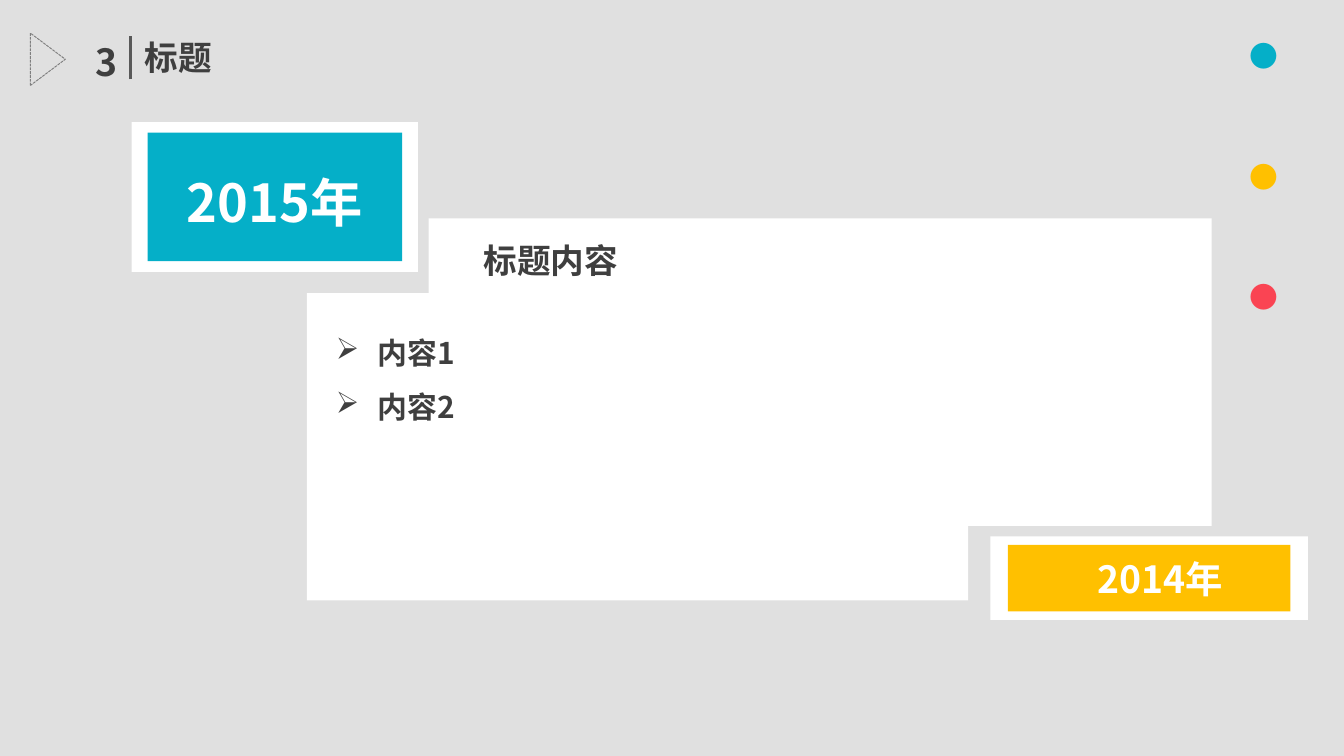
from lxml import etree
from pptx import Presentation
from pptx.dml.color import RGBColor
from pptx.enum.dml import MSO_LINE
from pptx.enum.shapes import MSO_CONNECTOR, MSO_SHAPE
from pptx.enum.text import PP_ALIGN
from pptx.oxml.ns import qn
from pptx.util import Cm, Pt

RECTANGLE = MSO_SHAPE.RECTANGLE
TRIANGLE = MSO_SHAPE.FLOWCHART_MERGE
LEFT, CENTER, RIGHT = PP_ALIGN.LEFT, PP_ALIGN.CENTER, PP_ALIGN.RIGHT
FONT = "Noto Sans CJK SC"
COLORS = {
    "black": "000000",
    "white": "FFFFFF",
    "text": "3F3F3F",
    "divider": "595959",
    "outline": "7F7F7F",
    "teal": "05AFC8",
    "yellow": "FFC000",
    "red": "FA4453",
}


def color(name):
    return RGBColor.from_string(COLORS[name])


def add_block(page, area, fill=None, kind=RECTANGLE):
    """Add a shape without line or shadow; area is left, top, width, height in cm."""
    block = page.shapes.add_shape(kind, *map(Cm, area))
    block.shadow.inherit = False
    block.line.fill.background()
    if fill:
        block.fill.solid()
        block.fill.fore_color.rgb = color(fill)
    else:
        block.fill.background()
    return block


def add_framed_block(page, area, margins, fill):
    """Add a white card with a coloured block centred in it."""
    left, top, width, height = area
    side, edge = margins
    add_block(page, area, "white")
    inner = (left + side, top + edge, width - 2 * side, height - 2 * edge)
    add_block(page, inner, fill)


def format_span(span, size, fill):
    span.font.size = Pt(size)
    span.font.bold = True
    span.font.name = FONT
    span.font.color.rgb = color(fill)
    east_asian = etree.SubElement(span._r.get_or_add_rPr(), qn("a:ea"))
    east_asian.set("typeface", FONT)


def add_text(page, area, lines, size, fill="text", align=LEFT):
    box = page.shapes.add_textbox(*map(Cm, area))
    frame = box.text_frame
    frame.word_wrap = True
    frame.text = "\n".join(lines)
    for para in frame.paragraphs:
        para.alignment = align
        for span in para.runs:
            format_span(span, size, fill)
    return box


def add_bullet(para):
    properties = para._p.get_or_add_pPr()
    properties.set("marL", str(Cm(0.79)))
    properties.set("indent", str(-Cm(0.79)))
    bullet_color = etree.SubElement(properties, qn("a:buClr"))
    etree.SubElement(bullet_color, qn("a:srgbClr")).set("val", COLORS["text"])
    etree.SubElement(properties, qn("a:buChar")).set("char", "➢")
    para.line_spacing = 1.5


def add_backdrop(page):
    backdrop = add_block(page, (0, -0.1, 25.4, 14.63), "black")
    fill = backdrop._element.spPr.find(qn("a:solidFill"))
    etree.SubElement(fill[0], qn("a:alpha")).set("val", "12000")


def add_header(page):
    divider = page.shapes.add_connector(
        MSO_CONNECTOR.STRAIGHT, Cm(2.47), Cm(1.5), Cm(2.47), Cm(0.69))
    divider.line.color.rgb = color("divider")
    divider.line.width = Pt(1.5)
    etree.SubElement(divider._element.spPr, qn("a:effectLst"))
    add_text(page, (0.3, 0.61, 2.18, 1.12), ["3"], 20, align=RIGHT)
    add_text(page, (2.49, 0.58, 8.41, 1.02), ["标题"], 18)


def add_dots(page):
    """Add three dots that wrap one below the other."""
    box = add_text(page, (20.9, -0.25, 4.19, 2.54), ["· "], 54, "teal", RIGHT)
    para = box.text_frame.paragraphs[0]
    for text, fill in (("· ", "yellow"), ("·", "red")):
        span = para.add_run()
        span.text = text
        format_span(span, 54, fill)


def add_marker(page):
    marker = add_block(page, (0.41, 0.79, 0.99, 0.66), kind=TRIANGLE)
    marker.rotation = 270
    marker.line.color.rgb = color("outline")
    marker.line.width = Pt(0.5)
    marker.line.dash_style = MSO_LINE.SQUARE_DOT


def main():
    deck = Presentation()
    deck.slide_width, deck.slide_height = Cm(25.4), Cm(14.29)
    page = deck.slides.add_slide(deck.slide_layouts[6])

    # Backdrop and header
    add_backdrop(page)
    add_header(page)
    add_dots(page)

    # Year cards
    add_framed_block(page, (2.49, 2.31, 5.41, 2.83), (0.3, 0.2), "teal")
    add_framed_block(page, (18.72, 10.14, 6, 1.58), (0.33, 0.16), "yellow")

    # Stepped content panel
    for area in ((5.8, 5.54, 17.1, 4.4),
                 (8.1, 4.13, 14.8, 1.41),
                 (5.8, 9.94, 12.5, 1.41)):
        add_block(page, area, "white")

    # Texts
    add_text(page, (20.37, 10.39, 3.1, 1.12), ["2014年"], 20, "white", CENTER)
    add_text(page, (2.79, 3.1, 4.8, 1.45), ["2015年"], 28, "white", CENTER)
    add_text(page, (8.89, 4.42, 8.41, 1.02), ["标题内容"], 18)
    content = add_text(page, (6.1, 5.87, 16.79, 2.29), ["内容1", "内容2"], 16)
    for para in content.text_frame.paragraphs:
        add_bullet(para)

    add_marker(page)
    deck.save("out.pptx")


if __name__ == "__main__":
    main()
